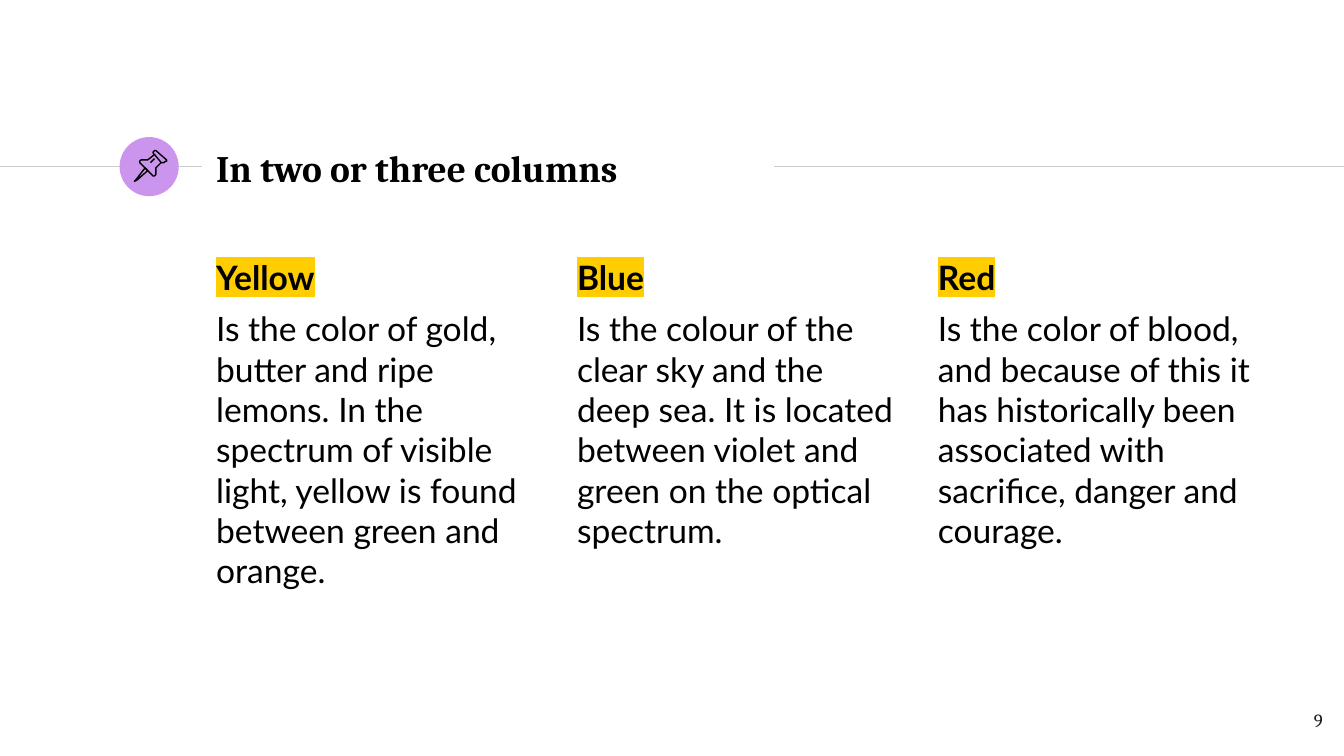
from dataclasses import dataclass

from lxml.etree import SubElement
from pptx import Presentation
from pptx.dml.color import RGBColor
from pptx.enum.shapes import MSO_CONNECTOR, MSO_SHAPE
from pptx.enum.text import MSO_ANCHOR, PP_ALIGN
from pptx.oxml.ns import qn
from pptx.util import Inches, Pt


@dataclass(frozen=True)
class Theme:
    ink: str = "000000"
    page: str = "1D1D1B"
    rule: str = "CCCCCC"
    badge: str = "CC95ED"
    mark: str = "FFCD00"
    serif: str = "Cambria"
    sans: str = "Lato"
    title: int = 20
    body: int = 18
    small: int = 10
    line: float = 0.75


THEME = Theme()
FIRST, LAST = 1.51, 6.88

COLUMNS = [
    ("Yellow", "Is the color of gold, butter and ripe lemons. In the spectrum "
     "of visible light, yellow is found between green and orange."),
    ("Blue", "Is the colour of the clear sky and the deep sea. It is located "
     "between violet and green on the optical spectrum."),
    ("Red", "Is the color of blood, and because of this it has historically "
     "been associated with sacrifice, danger and courage."),
]

PIN = [
    ([(108, 125), (101, 134), (100, 135), (102, 134), (110, 127)], True),
    ([(115, 115), (120, 121), (122, 121), (123, 120), (124, 120), (124, 119),
      (116, 112), (115, 112), (114, 113), (114, 114)], True),
    ([(115, 115), (110, 119), (108, 119), (105, 119), (104, 120), (104, 121),
      (114, 131), (115, 131), (116, 130), (116, 128), (116, 125),
      (120, 121)], False),
    ([(112, 121), (115, 118)], False),
]


def color(code):
    return RGBColor.from_string(code)


def add_rule(shapes, start, end, y):
    rule = shapes.add_connector(MSO_CONNECTOR.STRAIGHT, Inches(start),
                                Inches(y), Inches(end), Inches(y))
    rule.line.color.rgb = color(THEME.rule)
    rule.line.width = Pt(THEME.line)
    SubElement(rule._element.spPr, qn("a:effectLst"))


def add_badge(shapes, left, top, size):
    badge = shapes.add_shape(MSO_SHAPE.OVAL, Inches(left), Inches(top),
                             Inches(size), Inches(size))
    badge.shadow.inherit = False
    badge.fill.solid()
    badge.fill.fore_color.rgb = color(THEME.badge)
    badge.line.fill.background()


def add_pin(shapes):
    group = shapes.add_group_shape()
    for points, closed in PIN:
        pen = group.shapes.build_freeform(*points[0], scale=Inches(0.01))
        pen.add_line_segments(points[1:], close=closed)
        part = pen.convert_to_shape()
        part.shadow.inherit = False
        part.fill.background()
        part.line.color.rgb = color(THEME.ink)
        part.line.width = Pt(THEME.line)


def add_box(shapes, left, top, width, height):
    frame = shapes.add_textbox(Inches(left), Inches(top), Inches(width),
                               Inches(height)).text_frame
    frame.word_wrap = True
    frame.margin_left = frame.margin_right = Inches(0.1)
    frame.margin_top = frame.margin_bottom = Inches(0.1)
    return frame


def write(para, text, face, size, ink=THEME.ink, bold=False):
    run = para.add_run()
    run.text = text
    para.font.name = face
    para.font.size = Pt(size)
    para.font.color.rgb = color(ink)
    para.font.bold = bold
    return run


def mark(run):
    light = SubElement(run._r.get_or_add_rPr(), qn("a:highlight"))
    SubElement(light, qn("a:srgbClr"), val=THEME.mark)


def add_column(shapes, left, head, text):
    frame = add_box(shapes, left, 1.81, 2.55, 3.41)
    top, body = frame.paragraphs[0], frame.add_paragraph()
    top.space_before = body.space_before = Pt(6)
    mark(write(top, head, THEME.sans, THEME.body, bold=True))
    write(body, text, THEME.sans, THEME.body)


def main():
    deck = Presentation()
    deck.slide_width = Inches(10)
    deck.slide_height = Inches(10) * 9 // 16
    shapes = deck.slides.add_slide(deck.slide_layouts[6]).shapes

    add_rule(shapes, 0, 1.5, 1.24)
    add_badge(shapes, 0.89, 1.02, 0.44)
    add_rule(shapes, 5.76, 10, 1.24)

    title = add_box(shapes, FIRST, 1.01, 4.24, 0.48)
    title.vertical_anchor = MSO_ANCHOR.MIDDLE
    write(title.paragraphs[0], "In two or three columns", THEME.serif,
          THEME.title, bold=True)

    step = (LAST - FIRST) / (len(COLUMNS) - 1)
    for index, (head, text) in enumerate(COLUMNS):
        add_column(shapes, FIRST + index * step, head, text)

    page = add_box(shapes, 9.34, 5.19, 0.6, 0.43).paragraphs[0]
    page.alignment = PP_ALIGN.RIGHT
    write(page, "9", THEME.serif, THEME.small, THEME.page)

    add_pin(shapes)
    deck.save("out.pptx")


if __name__ == "__main__":
    main()
